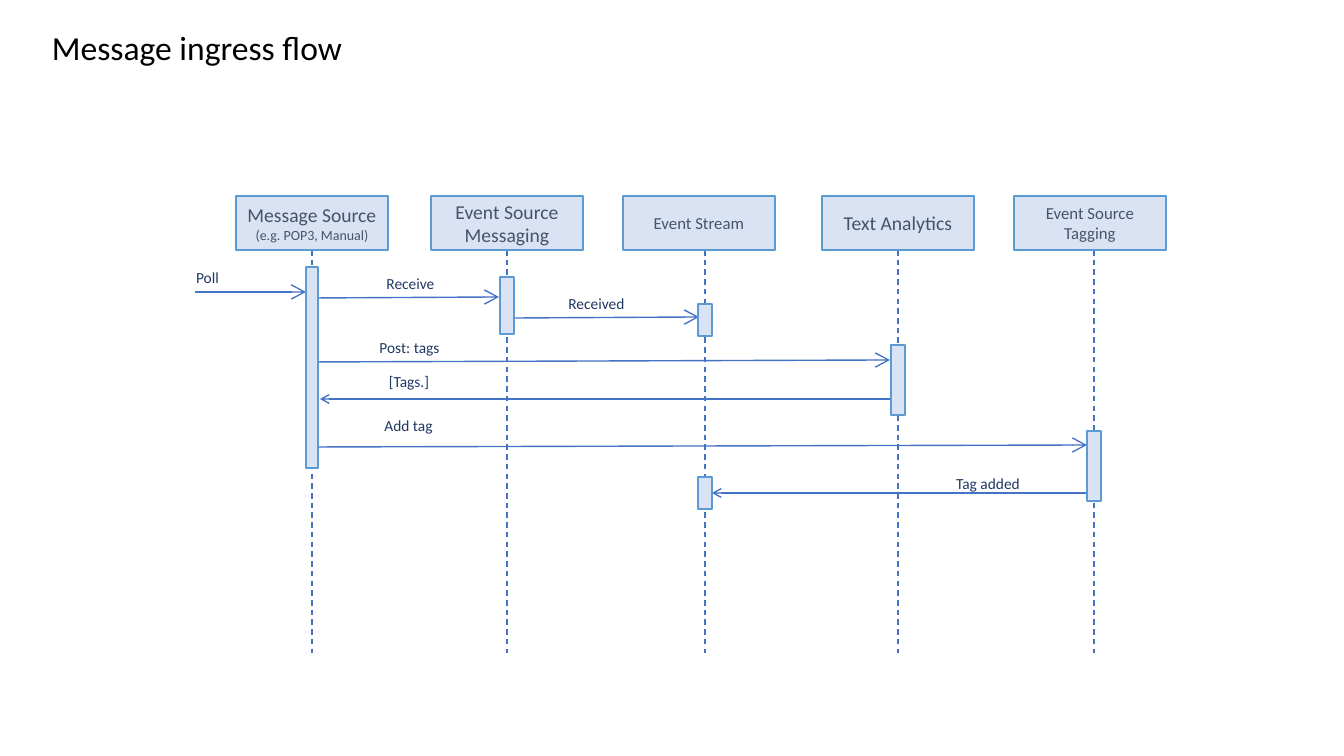
from lxml import etree
from pptx import Presentation, util as u
from pptx.dml.color import RGBColor
from pptx.enum import dml, shapes, text
from pptx.oxml.ns import qn

SCALE = 12192000 / 1344
BLUE = RGBColor(0x44, 0x72, 0xC4)
EDGE = RGBColor(0x5B, 0x9B, 0xD5)
PALE = RGBColor(0xDA, 0xE3, 0xF3)
SLATE = RGBColor(0x44, 0x54, 0x6A)
NAVY = RGBColor(0x20, 0x38, 0x64)
BLACK = RGBColor(0, 0, 0)
LEFT, MID = text.PP_ALIGN.LEFT, text.PP_ALIGN.CENTER
BOTTOM, RIGHT = 2, 3


def px(*nums):
    return [u.Emu(round(n * SCALE)) for n in nums]


def write(frame, *runs, color, align=MID, anchor=text.MSO_ANCHOR.TOP):
    """Fill one paragraph with (words, size) runs."""
    frame.word_wrap = True
    frame.vertical_anchor = anchor
    para = frame.paragraphs[0]
    para.alignment = align
    for words, size in runs:
        run = para.add_run()
        run.text = words
        run.font.name = Sketch.font
        run.font.size = u.Pt(size)
        run.font.color.rgb = color


class Sketch:
    font = "Calibri"
    weight = u.Pt(1)

    def __init__(self, slide):
        self.shapes = slide.shapes

    def box(self, x, y, w, h):
        rect = self.shapes.add_shape(shapes.MSO_SHAPE.RECTANGLE, *px(x, y, w, h))
        rect.shadow.inherit = False
        rect.fill.solid()
        rect.fill.fore_color.rgb = PALE
        rect.line.color.rgb = EDGE
        rect.line.width = self.weight
        return rect

    def label(self, x, y, w, h, words, size=11, color=NAVY, align=MID):
        frame = self.shapes.add_textbox(*px(x, y, w, h)).text_frame
        write(frame, (words, size), color=color, align=align)
        frame.auto_size = text.MSO_AUTO_SIZE.SHAPE_TO_FIT_TEXT

    def line(self, x1, y1, x2, y2, dash=False, tip=None, size="med"):
        """Draw a straight line; tip is headEnd, tailEnd or None."""
        link = self.shapes.add_connector(
            shapes.MSO_CONNECTOR.STRAIGHT, *px(x1, y1, x2, y2))
        link.line.color.rgb = BLUE
        link.line.width = self.weight
        if dash:
            link.line.dash_style = dml.MSO_LINE.DASH
        props = link._element.spPr
        if tip:
            etree.SubElement(props.find(qn("a:ln")), qn("a:" + tip),
                             type="arrow", w=size, len=size)
        etree.SubElement(props, qn("a:effectLst"))
        return link


# axis, shift of the box from its axis, runs
ACTORS = [
    (312, 0, [("Message Source ", 14), ("(e.g. POP3, Manual)", 10)]),
    (507, 0, [("Event Source Messaging", 14)]),
    (705, -6, [("Event Stream", 12)]),
    (898, 0, [("Text Analytics", 14)]),
    (1094, -4, [("Event Source Tagging", 12)]),
]
# start, end, label box (left, top, width), words
CALLS = [
    ((195, 292), (306, 292), (110, 263, 195), "Poll"),
    ((312, 298), (499, 297), (313, 269, 195), "Receive"),
    ((515, 318), (699, 317), (499, 289, 195), "Received"),
    ((313, 362), (890, 360), (312, 333, 195), "Post: tags"),
    ((316, 447), (1087, 445), (137, 411, 543), "Add tag"),
]
REPLIES = [
    ((320, 399), (898, 399), (231, 367, 356), "[Tags.]"),
    ((712, 493), (1094, 493), (810, 469, 356), "Tag added"),
]
# axis, top, width, height
BARS = [
    (312, 267, 12, 201), (507, 277, 14, 57), (705, 304, 14, 32),
    (898, 345, 14, 70), (1094, 431, 14, 70), (705, 477, 14, 32),
]


def main():
    deck = Presentation()
    deck.slide_width, deck.slide_height = px(1344, 756)
    art = Sketch(deck.slides.add_slide(deck.slide_layouts[6]))

    for axis, shift, runs in ACTORS:
        life = art.line(axis, 250, axis, 653, dash=True)
        head = art.box(axis - 76 + shift, 196, 152, 54)
        write(head.text_frame, *runs, color=SLATE,
              anchor=text.MSO_ANCHOR.MIDDLE)
        if not shift:
            life.begin_connect(head, BOTTOM)

    for group, tip, size in ((CALLS, "tailEnd", "lg"),
                             (REPLIES, "headEnd", "med")):
        for start, end, place, words in group:
            link = art.line(*start, *end, tip=tip, size=size)
            art.label(*place, 29, words)

    for axis, top, wide, high in BARS:
        bar = art.box(axis - wide // 2, top, wide, high)
    link.begin_connect(bar, RIGHT)  # "Tag added" reaches the last bar

    art.label(42, 22, 337, 50, "Message ingress flow", 24, BLACK, LEFT)
    deck.save("out.pptx")


if __name__ == "__main__":
    main()
